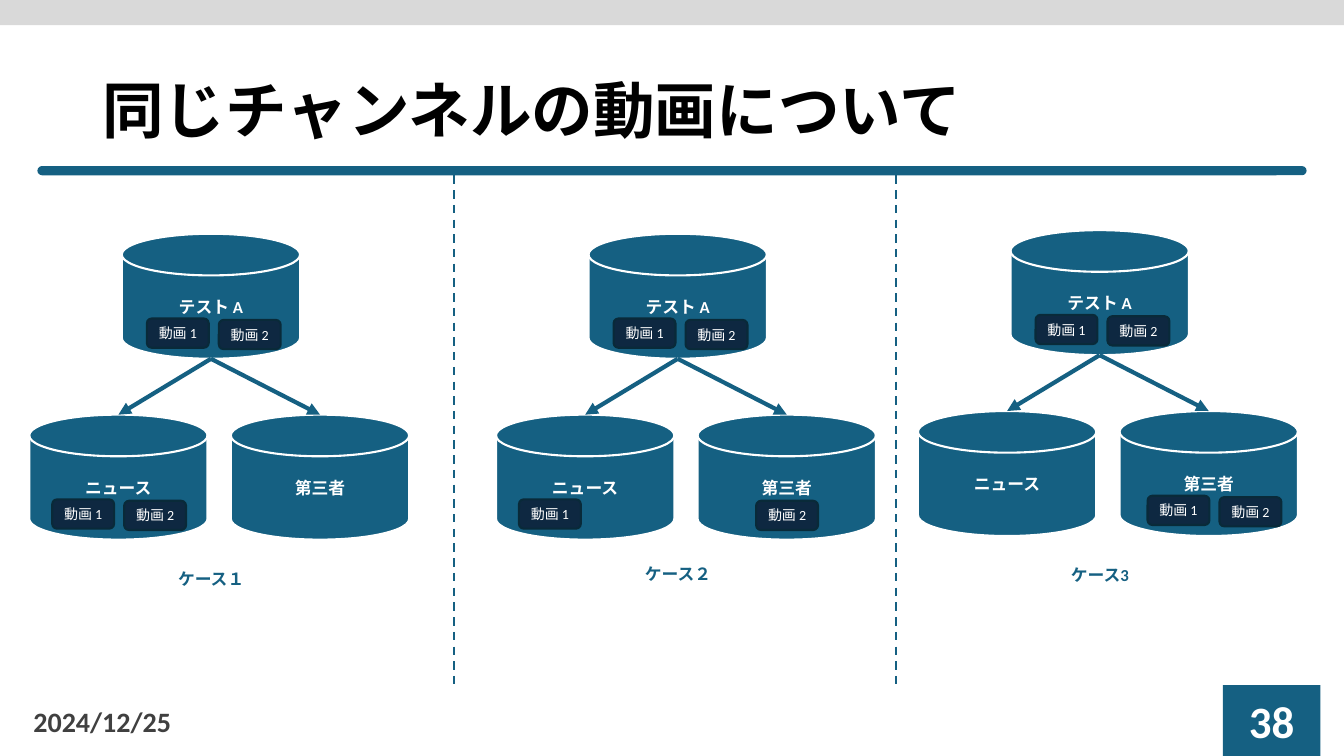
from pptx import Presentation
from pptx.dml.color import RGBColor
from pptx.enum.dml import MSO_LINE
from pptx.enum.shapes import MSO_CONNECTOR, MSO_SHAPE
from pptx.enum.text import MSO_ANCHOR, PP_ALIGN
from pptx.oxml.ns import qn
from pptx.util import Pt
from lxml import etree

RECT = MSO_SHAPE.RECTANGLE
ROUNDED = MSO_SHAPE.ROUNDED_RECTANGLE
DISK = MSO_SHAPE.FLOWCHART_MAGNETIC_DISK
STRAIGHT = MSO_CONNECTOR.STRAIGHT
DASH = MSO_LINE.DASH
MIDDLE = MSO_ANCHOR.MIDDLE
LEFT, CENTER = PP_ALIGN.LEFT, PP_ALIGN.CENTER

TEAL = RGBColor(0x15, 0x60, 0x82)
NAVY = RGBColor(0x0E, 0x28, 0x41)
NAVY_EDGE = RGBColor(0x09, 0x2A, 0x39)
WHITE = RGBColor(0xFF, 0xFF, 0xFF)
BLACK = RGBColor(0, 0, 0)
DARK_GRAY = RGBColor(0x40, 0x40, 0x40)
LIGHT_GRAY = RGBColor(0xD9, 0xD9, 0xD9)

DISK_W, DISK_H = 127.4, 89.3
SOURCE_DX = 66.1
THIRD_PARTY_DX = 144
COPIES_DY = 129.2
VIDEO_STEP = 51.4

# label, left, top, label top, video offsets (number: dx) in news and third party
CASES = [
    ("ケース１", 20.9, 167, 401, {1: 16.4, 2: 16.4 + VIDEO_STEP}, {}),
    ("ケース２", 354.3, 167, 397.4, {1: 16.4}, {2: 41.8}),
    ("ケース3", 655.7, 164.4, 398.2, {}, {1: 20, 2: 20 + VIDEO_STEP}),
]
SOURCE_VIDEOS = {1: 17.9, 2: 17.9 + VIDEO_STEP}


def write(shape, text, size, color, bold=True, align=CENTER, font="Calibri"):
    frame = shape.text_frame
    frame.word_wrap = True
    frame.vertical_anchor = MIDDLE
    frame.text = text
    paragraph = frame.paragraphs[0]
    paragraph.alignment = align
    run_font = paragraph.runs[0].font
    run_font.name, run_font.size, run_font.bold = font, Pt(size), bold
    run_font.color.rgb = color
    return paragraph


def add_block(slide, kind, left, top, width, height, fill=None, edge=None):
    block = slide.shapes.add_shape(kind, Pt(left), Pt(top), Pt(width), Pt(height))
    block.shadow.inherit = False
    if fill is None:
        block.fill.background()
    else:
        block.fill.solid()
        block.fill.fore_color.rgb = fill
    if edge is None:
        block.line.fill.background()
    else:
        block.line.color.rgb = edge
        block.line.width = Pt(1.5)
    return block


def add_text(slide, left, top, width, height, text, size, color, font="Calibri"):
    box = slide.shapes.add_textbox(Pt(left), Pt(top), Pt(width), Pt(height))
    return write(box, text, size, color, align=LEFT, font=font)


def add_line(slide, x1, y1, x2, y2, width):
    line = slide.shapes.add_connector(STRAIGHT, Pt(x1), Pt(y1), Pt(x2), Pt(y2))
    line.line.color.rgb = TEAL
    line.line.width = Pt(width)
    etree.SubElement(line._element.spPr, qn("a:effectLst"))
    return line


def add_divider(slide, x):
    add_line(slide, x, 125.3, x, 493.2, 1.5).line.dash_style = DASH


def add_arrow(slide, x1, y1, x2, y2):
    arrow = add_line(slide, x1, y1, x2, y2, 3)
    etree.SubElement(arrow.line._get_or_add_ln(), qn("a:tailEnd"), type="triangle")


def add_channel(slide, left, top, name, videos):
    """Draw a channel disk with its video tags."""
    disk = add_block(slide, DISK, left, top, DISK_W, DISK_H, TEAL, WHITE)
    write(disk, name, 12, WHITE)
    for number, dx in videos.items():
        tag = add_block(slide, ROUNDED, left + dx, top + 59.5 + number,
                        44.2, 20.9, NAVY, NAVY_EDGE)
        write(tag, f"動画 {number}", 10, WHITE, bold=False)


def add_case(slide, label, left, top, label_top, news_videos, third_videos):
    source_left = left + SOURCE_DX
    copies_top = top + COPIES_DY
    add_channel(slide, source_left, top, "テスト A", SOURCE_VIDEOS)
    for dx, name, videos in [(0, "ニュース", news_videos),
                             (THIRD_PARTY_DX, "第三者", third_videos)]:
        add_channel(slide, left + dx, copies_top, name, videos)
        add_arrow(slide, source_left + DISK_W / 2, top + DISK_H,
                  left + dx + DISK_W / 2, copies_top)
    caption = add_block(slide, RECT, left + 72, label_top, 116, 24.5, edge=WHITE)
    write(caption, label, 12, TEAL)


def main():
    deck = Presentation()
    deck.slide_width, deck.slide_height = Pt(960), Pt(540)
    slide = deck.slides.add_slide(deck.slide_layouts[6])

    add_block(slide, RECT, 0, 0, 960, 18, LIGHT_GRAY)
    title = add_text(slide, 66, 28.75, 828, 104.4, "同じチャンネルの動画について",
                     44, BLACK, "Arial")
    title.line_spacing = 0.9
    rule = add_block(slide, ROUNDED, 26.7, 118.6, 906.6, 6.6, TEAL)
    rule.adjustments[0] = 0.5
    add_text(slide, 16.8, 500.5, 216, 28.8, "2024/12/25", 20, DARK_GRAY)
    page = add_block(slide, RECT, 873.5, 489.4, 69.6, 50.6, TEAL)
    write(page, "38", 32, WHITE)

    for x in (324, 640):
        add_divider(slide, x)
    for case in CASES:
        add_case(slide, *case)

    deck.save("out.pptx")


if __name__ == "__main__":
    main()
